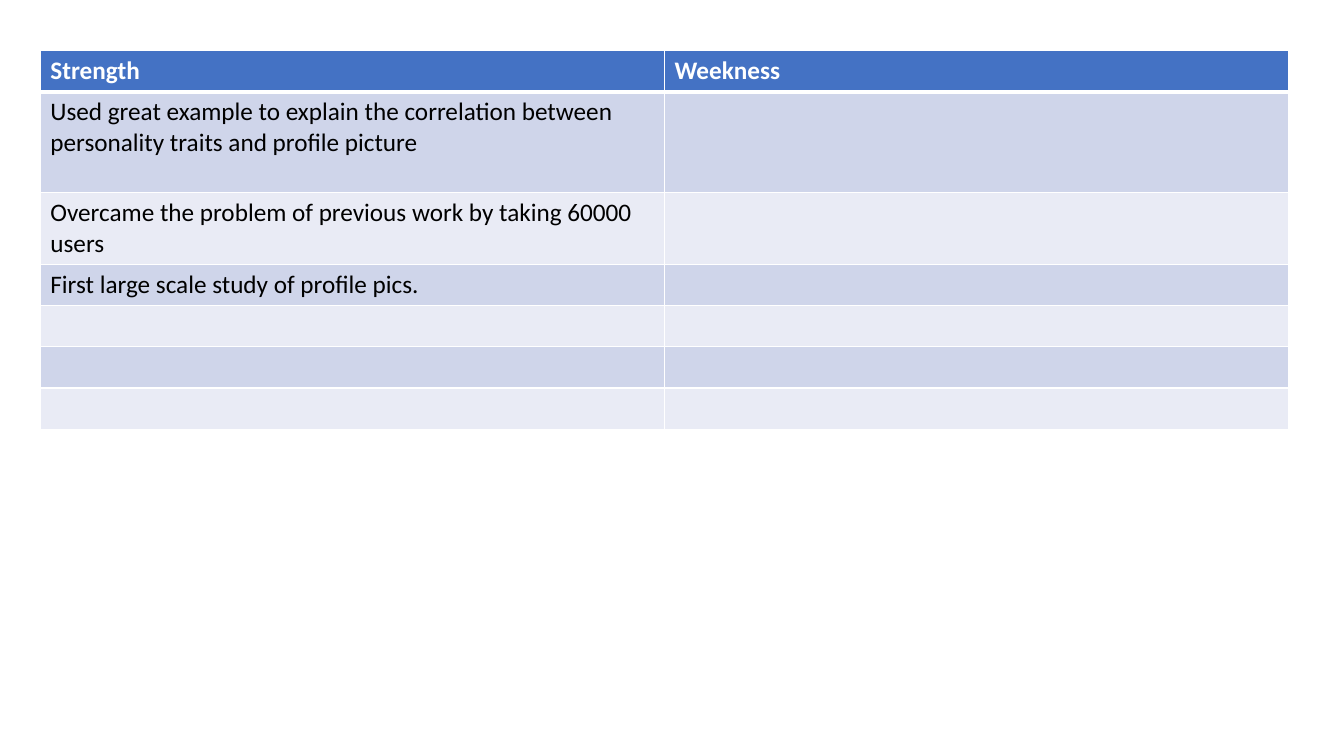
import dataclasses

import lxml.etree
import pptx
import pptx.dml.color
import pptx.oxml.ns
import pptx.table
import pptx.util

RGBColor = pptx.dml.color.RGBColor
WHITE = RGBColor(0xFF, 0xFF, 0xFF)
BLACK = RGBColor(0x00, 0x00, 0x00)
HEADER_BLUE = RGBColor(0x44, 0x72, 0xC4)
BAND_DARK = RGBColor(0xCF, 0xD5, 0xEA)
BAND_LIGHT = RGBColor(0xE9, 0xEB, 0xF5)

SLIDE_WIDTH = pptx.util.Inches(13.33)
SLIDE_HEIGHT = pptx.util.Inches(7.5)
COLUMN_WIDTH = pptx.util.Inches(6.19)
ROW_HEIGHT = pptx.util.Inches(0.41)
TALL_ROW_HEIGHT = pptx.util.Inches(1)


@dataclasses.dataclass(frozen=True)
class Row:
    strength: str = ""
    weakness: str = ""
    height: int = ROW_HEIGHT


ROWS = [
    Row("Strength", "Weekness"),
    Row(
        "Used great example to explain the correlation between "
        "personality traits and profile picture",
        height=TALL_ROW_HEIGHT,
    ),
    Row("Overcame the problem of previous work by taking 60000 users"),
    Row("First large scale study of profile pics."),
    Row(),
    Row(),
    Row(),
]


def set_border(cell: pptx.table._Cell, side: str, position: int, points: float) -> None:
    qualified = pptx.oxml.ns.qn
    line = lxml.etree.Element(qualified(f"a:ln{side}"), w=str(pptx.util.Pt(points)))
    fill = lxml.etree.SubElement(line, qualified("a:solidFill"))
    lxml.etree.SubElement(fill, qualified("a:srgbClr"), val=str(WHITE))
    cell._tc.get_or_add_tcPr().insert(position, line)


def format_cell(cell: pptx.table._Cell, text: str, row_index: int) -> None:
    is_header = row_index == 0
    band = BAND_DARK if row_index % 2 else BAND_LIGHT
    cell.fill.solid()
    cell.fill.fore_color.rgb = HEADER_BLUE if is_header else band
    widths = {
        "L": 1,
        "R": 1,
        "T": 3 if row_index == 1 else 1,
        "B": 3 if is_header else 1,
    }
    for position, (side, points) in enumerate(widths.items()):
        set_border(cell, side, position, points)
    cell.text_frame.text = text
    paragraph = cell.text_frame.paragraphs[0]
    for item in (paragraph, *paragraph.runs):
        item.font.name = "Calibri"
        item.font.size = pptx.util.Pt(18)
        item.font.bold = is_header
        item.font.color.rgb = WHITE if is_header else BLACK


def add_comparison(slide: pptx.slide.Slide, rows: list[Row]) -> None:
    table = slide.shapes.add_table(
        len(rows),
        2,
        round(SLIDE_WIDTH * 0.03),
        round(SLIDE_HEIGHT / 15),
        2 * COLUMN_WIDTH,
        sum(row.height for row in rows),
    ).table
    for column in table.columns:
        column.width = COLUMN_WIDTH
    for row_index, row in enumerate(rows):
        table.rows[row_index].height = row.height
        for column_index, text in enumerate((row.strength, row.weakness)):
            format_cell(table.cell(row_index, column_index), text, row_index)


def main() -> None:
    presentation = pptx.Presentation()
    presentation.slide_width = SLIDE_WIDTH
    presentation.slide_height = SLIDE_HEIGHT
    slide = presentation.slides.add_slide(presentation.slide_layouts[6])
    add_comparison(slide, ROWS)
    presentation.save("out.pptx")


if __name__ == "__main__":
    main()
